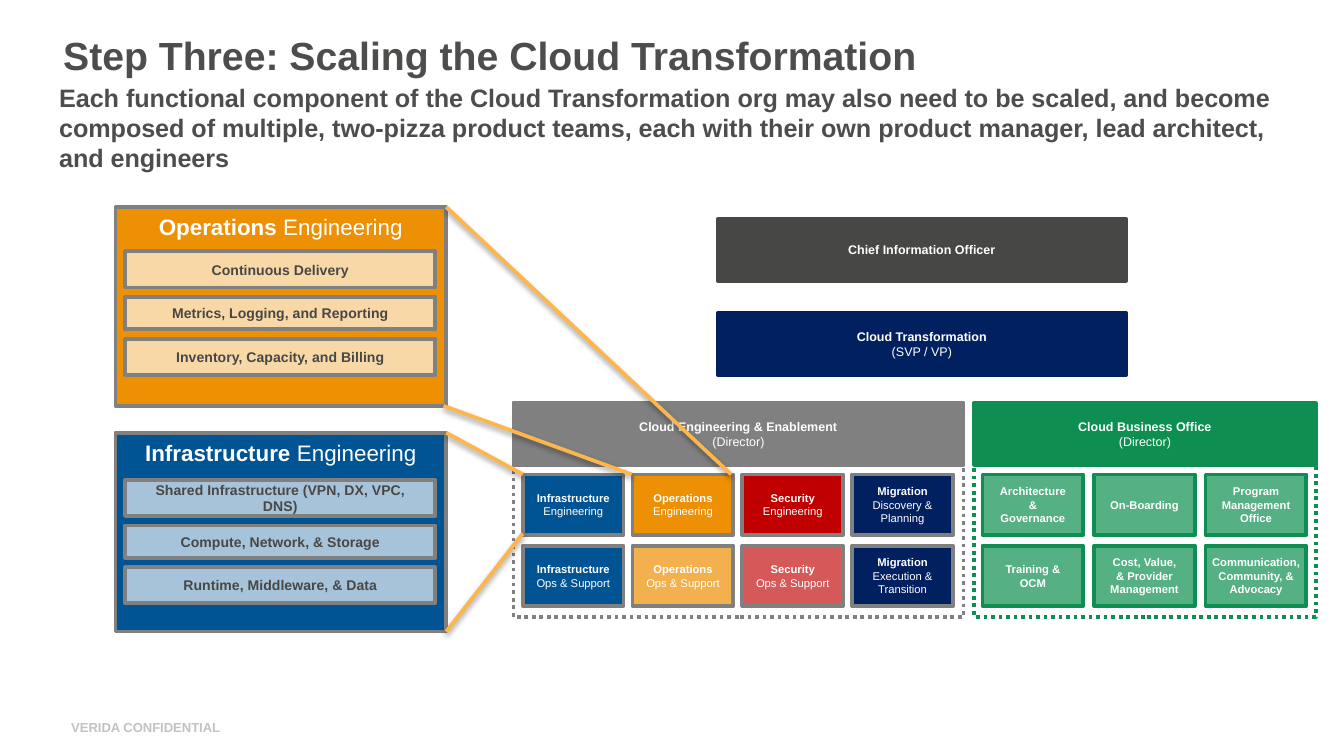
from dataclasses import dataclass
from lxml.etree import SubElement
from pptx import Presentation
from pptx.dml.color import RGBColor
from pptx.enum.dml import MSO_LINE
from pptx.enum.shapes import MSO_CONNECTOR, MSO_SHAPE
from pptx.enum.text import MSO_ANCHOR as ANCHOR, MSO_AUTO_SIZE, PP_ALIGN as ALIGN
from pptx.oxml import parse_xml
from pptx.oxml.ns import nsdecls, qn
from pptx.util import Inches, Pt


@dataclass(frozen=True)
class Theme:
    font: str = "Arial"
    white: str = "FFFFFF"
    text: str = "4D4D4C"
    dark: str = "474746"
    navy: str = "002060"
    blue: str = "005493"
    orange: str = "ED9004"
    red: str = "C00000"
    green: str = "0E8F51"
    gray: str = "808080"
    ray: str = "FCB64C"
    footer: str = "C2C2C1"
    title_size: float = 21
    subtitle_size: float = 13.5
    panel_size: float = 12
    bar_size: float = 7.5
    footer_size: float = 7
    role_size: float = 6.75
    team_size: float = 6
    line: float = 2


T = Theme()

ENGINEERING = [
    [("Infrastructure", "Engineering", T.blue, 100),
     ("Operations", "Engineering", T.orange, 100),
     ("Security", "Engineering", T.red, 100),
     ("Migration", "Discovery & Planning", T.navy, 100)],
    [("Infrastructure", "Ops & Support", T.blue, 100),
     ("Operations", "Ops & Support", T.orange, 70),
     ("Security", "Ops & Support", T.red, 65),
     ("Migration ", "Execution & Transition", T.navy, 100)],
]
BUSINESS = [
    ["Architecture & Governance", "On-Boarding", "Program Management Office"],
    ["Training & OCM", "Cost, Value, & Provider Management",
     "Communication, Community, & Advocacy"],
]
PANELS = [
    (3.22, 3.57, T.blue, "Infrastructure ",
     ["Shared Infrastructure (VPN, DX, VPC, DNS)",
      "Compute, Network, & Storage", "Runtime, Middleware, & Data"]),
    (1.54, 1.87, T.orange, "Operations ",
     ["Continuous Delivery", "Metrics, Logging, and Reporting",
      "Inventory, Capacity, and Billing"]),
]
BARS = [(0, 0.27), (0.34, 0.24), (0.65, 0.27)]
RAYS = [(3.89, 3.53, 3.32, 3.22), (3.89, 3.97, 3.32, 4.7),
        (4.7, 3.53, 3.3, 3.02), (5.44, 3.53, 3.32, 1.54)]


def rgb(color):
    return RGBColor.from_string(color)


def add_run(p, text, size, color, bold=True):
    r = p.add_run()
    r.text = text
    r.font.name = T.font
    r.font.size = Pt(size)
    r.font.bold = bold
    r.font.color.rgb = rgb(color)


def place(sp, x, y, w, h):
    sp.left, sp.top, sp.width, sp.height = map(Inches, (x, y, w, h))


def set_insets(tf, x, y):
    tf.margin_left = tf.margin_right = Inches(x)
    tf.margin_top = tf.margin_bottom = Inches(y)


def add_box(s, box, fill, line, alpha=100):
    sp = s.shapes.add_shape(MSO_SHAPE.RECTANGLE, *map(Inches, box))
    sp.shadow.inherit = False
    sp.line.color.rgb = rgb(line)
    sp.line.width = Pt(T.line)
    if fill is None:
        sp.fill.background()
        return sp
    sp.fill.solid()
    sp.fill.fore_color.rgb = rgb(fill)
    if alpha < 100:
        clr = sp.fill._xPr.find(qn("a:solidFill"))[0]
        SubElement(clr, qn("a:alpha")).set("val", str(alpha * 1000))
    return sp


def add_label(sp, lines, size, color=T.white, anchor=ANCHOR.MIDDLE):
    tf = sp.text_frame
    tf.word_wrap = True
    tf.vertical_anchor = anchor
    for i, runs in enumerate(lines):
        p = tf.add_paragraph() if i else tf.paragraphs[0]
        p.alignment = ALIGN.CENTER
        for text, bold in runs:
            add_run(p, text, size, color, bold)


def add_role(s, box, color, name, rank=None):
    lines = [[(name, True)]] + ([[(rank, False)]] if rank else [])
    add_label(add_box(s, box, color, color), lines, T.role_size)


def add_frame(s, box, color):
    add_box(s, box, None, color).line.dash_style = MSO_LINE.ROUND_DOT


def add_engineering_teams(s):
    for row, teams in enumerate(ENGINEERING):
        for col, (name, task, color, alpha) in enumerate(teams):
            box = (3.89 + col * 2.45 / 3, 3.53 + row * 0.53, 0.75, 0.45)
            sp = add_box(s, box, color, T.gray, alpha)
            runs = [(name, True), (task, False)]
            lines = [runs] if name.endswith(" ") else [[run] for run in runs]
            add_label(sp, lines, T.team_size)


def add_business_teams(s):
    for row, teams in enumerate(BUSINESS):
        for col, name in enumerate(teams):
            box = (7.31 + col * 0.83, 3.53 + row * 0.53, 0.75, 0.45)
            sp = add_box(s, box, T.green, T.green, 70)
            if name.startswith("Communication"):
                set_insets(sp.text_frame, 0, 0.05)
            add_label(sp, [[(name, True)]], T.team_size)


def add_panel(s, y, color, name):
    sp = add_box(s, (0.86, y, 2.46, 1.48), color, T.gray)
    add_label(sp, [[(name, True), ("Engineering", False)]], T.panel_size,
              anchor=ANCHOR.TOP)


def add_bars(s, y, names):
    for name, (dy, h) in zip(names, BARS):
        sp = add_box(s, (0.93, y + dy, 2.31, h), T.white, T.gray, 65)
        add_label(sp, [[(name, True)]], T.bar_size, T.dark)


def add_ray(s, ends):
    ln = s.shapes.add_connector(MSO_CONNECTOR.STRAIGHT, *map(Inches, ends))
    ln.line.color.rgb = rgb(T.ray)
    ln.line.width = Pt(T.line)
    ln._element.spPr.append(parse_xml(
        f'<a:effectLst {nsdecls("a")}><a:outerShdw blurRad="{Pt(3.1)}" '
        f'dist="{Pt(1.6)}" dir="5400000" rotWithShape="0"><a:srgbClr val="000000">'
        '<a:alpha val="38000"/></a:srgbClr></a:outerShdw></a:effectLst>'))


def set_heading(sp, box, text, size):
    place(sp, *box)
    tf = sp.text_frame
    tf.word_wrap = True
    tf.auto_size = MSO_AUTO_SIZE.NONE
    tf.vertical_anchor = ANCHOR.TOP
    p = tf.paragraphs[0]
    pPr = p._p.get_or_add_pPr()
    pPr.set("marL", "0")
    pPr.set("indent", "0")
    SubElement(pPr, qn("a:buNone"))
    p.alignment = ALIGN.LEFT
    p.space_before = Pt(0)
    add_run(p, text, size, T.text)


def add_footer(s):
    sp = s.shapes.add_textbox(*map(Inches, (0.53, 5.35, 3.31, 0.12)))
    set_insets(sp.text_frame, 0, 0)
    sp.text_frame.word_wrap = True
    add_run(sp.text_frame.paragraphs[0], "VERIDA CONFIDENTIAL", T.footer_size, T.footer)


def main():
    prs = Presentation()
    prs.slide_width = Inches(10)
    prs.slide_height = prs.slide_width * 9 // 16
    s = prs.slides.add_slide(prs.slide_layouts[1])
    set_heading(s.shapes.title, (0.37, 0.18, 8.97, 0.48),
                "Step Three: Scaling the Cloud Transformation", T.title_size)
    body = s.placeholders[1]
    set_heading(body, (0.37, 0.57, 9.29, 0.4),
                "Each functional component of the Cloud Transformation org may also "
                "need to be scaled, and become composed of multiple, two-pizza product "
                "teams, each with their own product manager, lead architect, and engineers",
                T.subtitle_size)
    set_insets(body.text_frame, 0.07, 0.04)
    add_footer(s)

    add_role(s, (5.34, 1.63, 3.04, 0.46), T.dark, "Chief Information Officer")
    add_role(s, (5.34, 2.33, 3.04, 0.46), T.navy, "Cloud Transformation", "(SVP / VP)")
    for x, w, color, name in [(3.82, 3.35, T.gray, "Cloud Engineering & Enablement"),
                              (7.25, 2.54, T.green, "Cloud Business Office")]:
        add_frame(s, (x, 3, w, 1.59), color)
        add_role(s, (x, 3, w, 0.46), color, name, "(Director)")
    add_business_teams(s)
    add_engineering_teams(s)

    for y, _, color, name, _ in PANELS:
        add_panel(s, y, color, name)
    for ends in RAYS:
        add_ray(s, ends)
    for _, y, _, _, names in PANELS:
        add_bars(s, y, names)
    prs.save("out.pptx")


if __name__ == "__main__":
    main()
